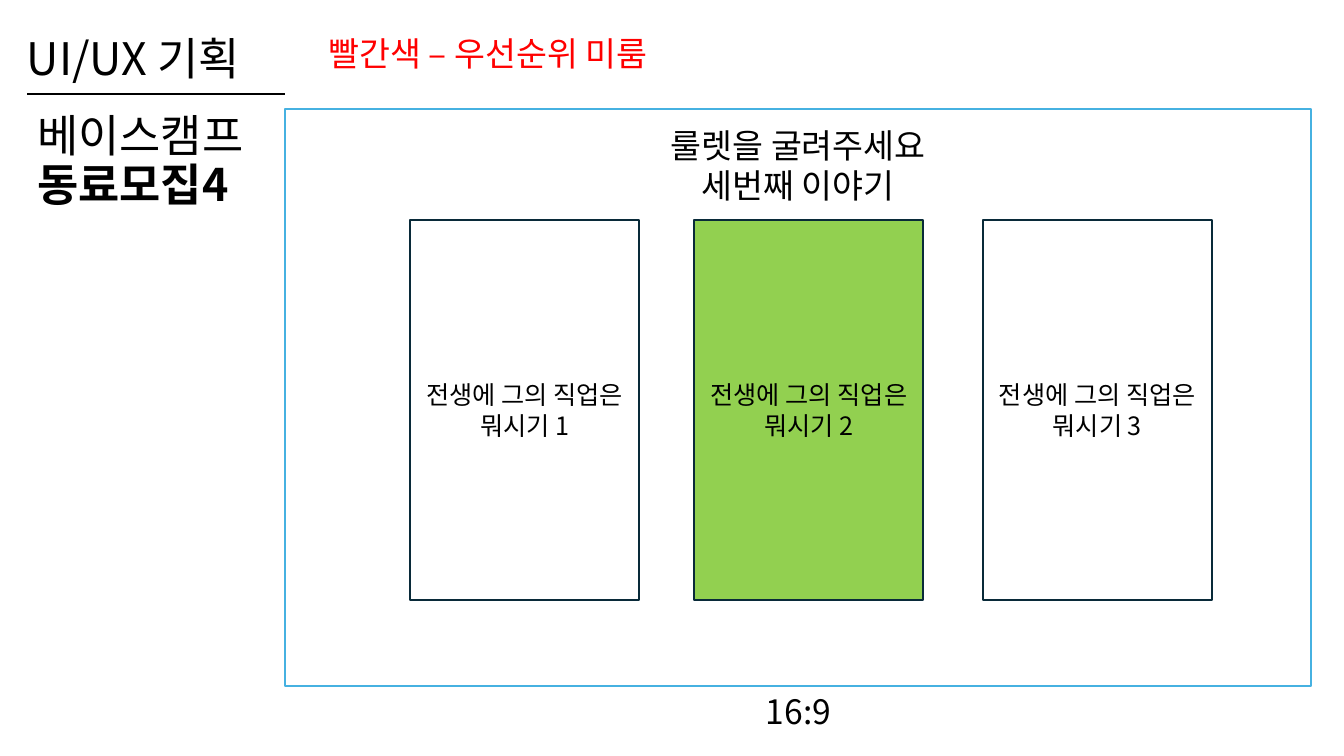
from lxml import etree
from pptx import Presentation
from pptx.dml.color import RGBColor
from pptx.enum.shapes import MSO_CONNECTOR, MSO_SHAPE
from pptx.enum.text import MSO_ANCHOR as ANCHOR, PP_ALIGN as ALIGN
from pptx.oxml.ns import qn
from pptx.util import Cm, Pt

FONT = "Noto Sans CJK KR"
COLORS = {
    "text": "000000",
    "note": "FF0000",
    "frame": "46B1E1",
    "card_line": "092A39",
    "card": "FFFFFF",
    "chosen": "92D050",
}


def rgb(name):
    return RGBColor.from_string(COLORS[name])


def write(tf, lines, size, color="text", align=ALIGN.LEFT, anchor=ANCHOR.MIDDLE, spacing=None):
    """Fill a text frame with one paragraph per line, in Latin and Korean type."""
    tf.word_wrap = True
    tf.vertical_anchor = anchor
    for i, line in enumerate(lines):
        p = tf.paragraphs[0] if i == 0 else tf.add_paragraph()
        p.text = line
        p.alignment = align
        p.line_spacing = spacing
        for r in p.runs:
            r.font.size = Pt(size)
            r.font.color.rgb = rgb(color)
            r.font.name = FONT
            etree.SubElement(r.font._element, qn("a:ea"), typeface=FONT)


def add_text(s, x, y, w, h, lines, size, **style):
    tf = s.shapes.add_textbox(Cm(x), Cm(y), Cm(w), Cm(h)).text_frame
    write(tf, lines, size, **style)
    return tf


def add_box(s, x, y, w, h, line, fill=None):
    sp = s.shapes.add_shape(MSO_SHAPE.RECTANGLE, Cm(x), Cm(y), Cm(w), Cm(h))
    sp.shadow.inherit = False
    if fill:
        sp.fill.solid()
        sp.fill.fore_color.rgb = rgb(fill)
    else:
        sp.fill.background()
    sp.line.color.rgb = rgb(line)
    sp.line.width = Pt(1.5)
    return sp


def add_header(s, x, y, w, h):
    add_text(s, x, y, w, h, ["UI/UX 기획"], 32, spacing=0.9)
    add_text(s, x + 7.6, y + 0.05, 10.97, 2.03, ["빨간색 – 우선순위 미룸"], 24,
             color="note", spacing=0.9)


def add_section(s, x, y, w, h):
    """Section name under a rule."""
    rule = s.shapes.add_connector(MSO_CONNECTOR.STRAIGHT, Cm(x), Cm(y), Cm(x + 6.5), Cm(y))
    rule.line.color.rgb = rgb("text")
    rule.line.width = Pt(1.5)
    etree.SubElement(rule._element.spPr, qn("a:effectLst"))
    tf = add_text(s, x, y, w, h, ["베이스캠프\v동료모집4"], 32, spacing=0.9)
    tf.paragraphs[0].runs[-1].font.bold = True


def add_screen(s, x, y, w, h):
    """Screen mock-up with a prompt, three story cards and its aspect ratio."""
    add_box(s, x, y, w, h, "frame")
    add_text(s, x + 11.86, y + h - 0.32, 3.18, 2.03, ["16:9"], 24, spacing=0.9)
    add_text(s, x + 8.91, y + 0.28, 8.03, 2.31, ["룰렛을 굴려주세요", "세번째 이야기"], 24,
             align=ALIGN.CENTER, anchor=ANCHOR.TOP)
    cards = [(3.15, "card"), (10.31, "chosen"), (17.58, "card")]
    for number, (dx, fill) in enumerate(cards, 1):
        card = add_box(s, x + dx, y + 2.8, 5.77, 9.58, "card_line", fill)
        write(card.text_frame, [f"전생에 그의 직업은 뭐시기 {number}"], 18, align=ALIGN.CENTER)


def main():
    prs = Presentation()
    prs.slide_width, prs.slide_height = Cm(33.87), Cm(19.05)
    s = prs.slides.add_slide(prs.slide_layouts[6])
    add_header(s, 0.43, 0.33, 29.21, 2.44)
    add_section(s, 0.69, 2.36, 6.3, 3.48)
    add_screen(s, 7.19, 2.74, 25.86, 14.55)
    prs.save("out.pptx")


if __name__ == "__main__":
    main()
